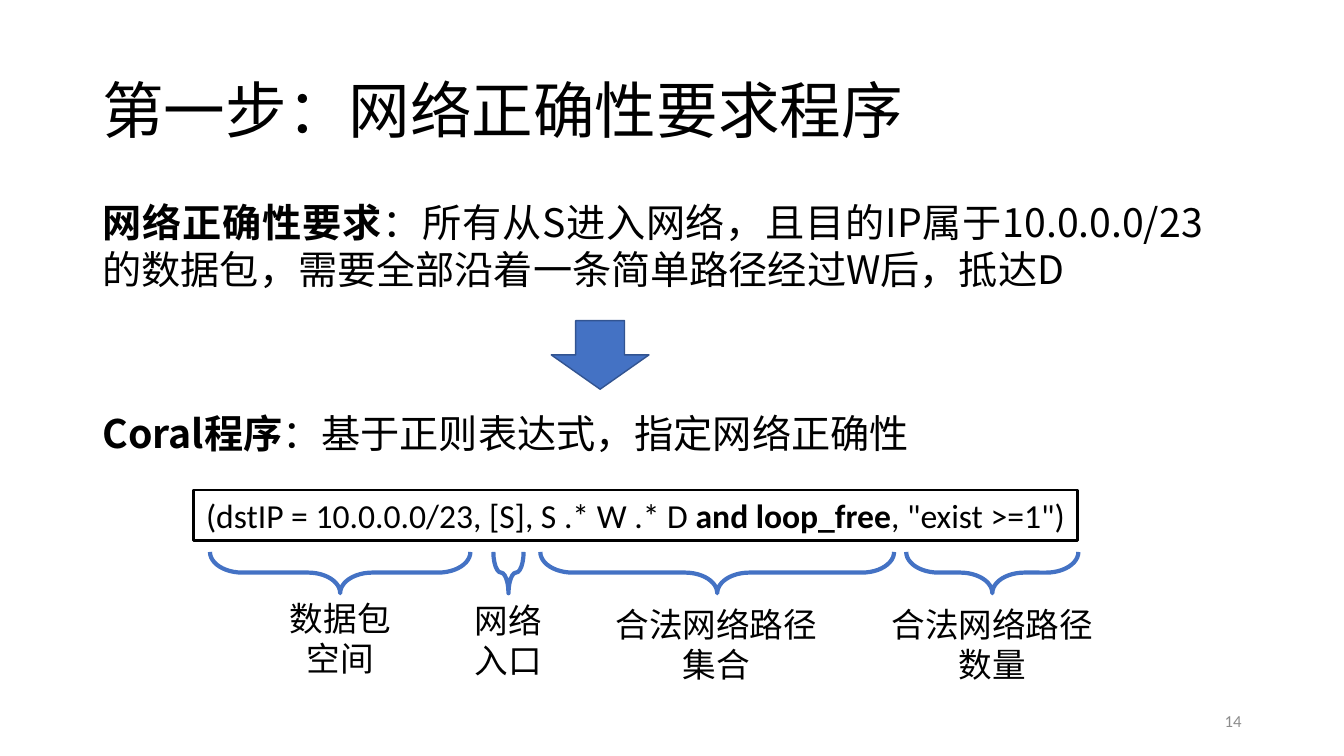
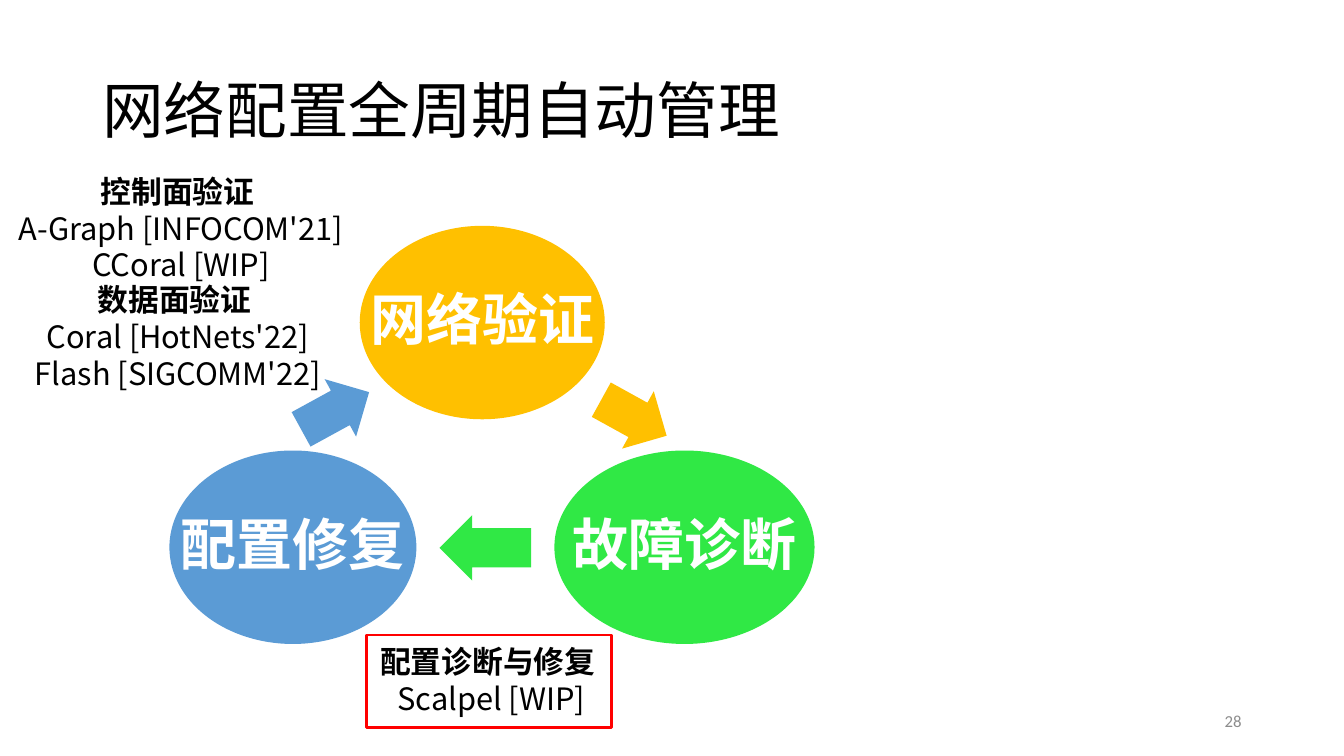
import pptx
import pptx.util
import pptx.dml.color
import pptx.enum.shapes
import pptx.enum.text
import pptx.oxml
import pptx.oxml.ns

Pt = pptx.util.Pt
SHAPE = pptx.enum.shapes.MSO_SHAPE
ALIGN = pptx.enum.text.PP_ALIGN
ANCHOR = pptx.enum.text.MSO_ANCHOR

COLORS = {
    "text": "000000",
    "white": "FFFFFF",
    "number": "8C8C8C",
    "blue": "4472C4",
    "blue_edge": "325491",
    "verify": "FFC000",
    "diagnose": "30E845",
    "repair": "5B9BD5",
    "highlight": "FF0000",
}
CJK = "Noto Sans CJK SC"
LATIN = "Calibri"

BRACE_MIDDLE = 409
BRACE_DEPTH = 29.5
OVAL_HEIGHT = 138.2
ARROW_HEIGHT = 46.8


def rgb(name):
    return pptx.dml.color.RGBColor.from_string(COLORS[name])


def write(shape, paragraphs, size, font=CJK, color="text", align=ALIGN.LEFT,
          anchor=ANCHOR.TOP, side=7.2, spacing=None, wrap=True):
    frame = shape.text_frame
    frame.word_wrap = wrap
    frame.vertical_anchor = anchor
    frame.margin_left = frame.margin_right = Pt(side)
    frame.margin_top = frame.margin_bottom = Pt(3.6)
    for index, spans in enumerate(paragraphs):
        para = frame.add_paragraph() if index else frame.paragraphs[0]
        para.alignment = align
        if spacing:
            para.line_spacing = spacing
        para.font.size = Pt(size)
        para.font.name = font
        para.font.color.rgb = rgb(color)
        defaults = para._p.pPr.find(pptx.oxml.ns.qn("a:defRPr"))
        east_asian = pptx.oxml.parse_xml(
            f'<a:ea {pptx.oxml.ns.nsdecls("a")} typeface="{font}"/>')
        defaults.find(pptx.oxml.ns.qn("a:latin")).addnext(east_asian)
        for text, bold in spans:
            span = para.add_run()
            span.text = text
            span.font.bold = bold


def add_text(page, place, paragraphs, size, **style):
    box = page.shapes.add_textbox(*map(Pt, place))
    write(box, paragraphs, size, **style)


def add_shape(page, kind, place, fill=None, line=None, width=1, rotation=0,
              adjustments=()):
    shape = page.shapes.add_shape(kind, *map(Pt, place))
    shape.shadow.inherit = False
    shape.rotation = rotation
    for index, value in enumerate(adjustments):
        shape.adjustments[index] = value
    if fill:
        shape.fill.solid()
        shape.fill.fore_color.rgb = rgb(fill)
    else:
        shape.fill.background()
    if line:
        shape.line.color.rgb = rgb(line)
        shape.line.width = Pt(width)
    else:
        shape.line.fill.background()
    return shape


def add_page(deck, title, number):
    page = deck.slides.add_slide(deck.slide_layouts[6])
    add_text(page, (66, 28.8, 828, 104.4), [[(title, False)]], 44,
             anchor=ANCHOR.MIDDLE, spacing=0.9)
    add_text(page, (678, 500.4, 216, 28.8), [[(number, False)]], 12,
             font=LATIN, color="number", align=ALIGN.RIGHT, anchor=ANCHOR.MIDDLE)
    return page


def add_brace(page, center, width):
    place = (center - BRACE_DEPTH / 2, BRACE_MIDDLE - width / 2, BRACE_DEPTH, width)
    add_shape(page, SHAPE.RIGHT_BRACE, place, line="blue", width=3, rotation=90,
              adjustments=(0.78, 0.5))


def add_stage(page, name, color, left, top, width):
    oval = add_shape(page, SHAPE.OVAL, (left, top, width, OVAL_HEIGHT), fill=color)
    write(oval, [[(name, True)]], 40, color="white", align=ALIGN.CENTER,
          anchor=ANCHOR.MIDDLE, side=0, spacing=0.9, wrap=False)


def add_stage_arrow(page, color, left, top, width, rotation):
    add_shape(page, SHAPE.RIGHT_ARROW, (left, top, width, ARROW_HEIGHT), fill=color,
              rotation=rotation, adjustments=(0.6, 0.5))


def add_works(page, left, top, height, heading, works):
    paragraphs = [[(heading, True)]] + [[(work, False)] for work in works]
    add_text(page, (left, top, 252.7, height), paragraphs, 22,
             align=ALIGN.CENTER, side=0)


def build_requirement_page(deck):
    page = add_page(deck, "第一步：网络正确性要求程序", "14")
    add_text(page, (66.2, 138.2, 800, 75), [[
        ("网络正确性要求", True),
        ("：所有从S进入网络，且目的IP属于10.0.0.0/23的数据包，"
         "需要全部沿着一条简单路径经过W后，抵达D", False),
    ]], 28, align=ALIGN.JUSTIFY)
    add_shape(page, SHAPE.DOWN_ARROW, (393.8, 229, 69.8, 49), fill="blue",
              line="blue_edge")
    add_text(page, (66.2, 288.7, 620, 41), [[
        ("Coral程序", True), ("：基于正则表达式，指定网络正确性", False),
    ]], 28)
    program = add_shape(page, SHAPE.RECTANGLE, (138.2, 350, 631.4, 36),
                        line="text", width=2)
    write(program, [[
        ("(dstIP = 10.0.0.0/23, [S], S .* W .* D ", False),
        ("and loop_free", True),
        (', "exist >=1")', False),
    ]], 24, font=LATIN, align=ALIGN.CENTER)

    for center, width in ((243, 186), (363.2, 21.6), (512.3, 252.7), (708.8, 123)):
        add_brace(page, center, width)
    labels = (
        (190, 423.4, 106, ("数据包", "空间")),
        (325.4, 424.8, 75.6, ("网络", "入口")),
        (430.6, 427.7, 162, ("合法网络路径集合",)),
        (627.8, 427.7, 162, ("合法网络路径数量",)),
    )
    for left, top, width, lines in labels:
        add_text(page, (left, top, width, 65.5), [[(line, False)] for line in lines],
                 24, align=ALIGN.CENTER)


def build_cycle_page(deck):
    page = add_page(deck, "网络配置全周期自动管理", "28")
    add_stage(page, "网络验证", "verify", 257, 161.3, 175)
    add_stage(page, "故障诊断", "diagnose", 396, 321.8, 185.8)
    add_stage(page, "配置修复", "repair", 121, 321.8, 176.4)
    add_stage_arrow(page, "verify", 426.2, 275, 53.3, 28.9)
    add_stage_arrow(page, "diagnose", 313.9, 367.9, 65.5, 180)
    add_stage_arrow(page, "repair", 211.7, 270, 55.4, 331.3)
    add_works(page, 0.7, 197.3, 87, "数据面验证 ",
              ("Coral [HotNets'22]", "Flash [SIGCOMM'22]"))
    add_works(page, 2.9, 119.5, 87, "控制面验证 ",
              ("A-Graph [INFOCOM'21]", "CCoral [WIP]"))
    add_works(page, 224.6, 455.8, 60.5, "配置诊断与修复 ", ("Scalpel [WIP]",))
    add_shape(page, SHAPE.RECTANGLE, (262, 453.6, 175, 66.2), line="highlight", width=2)


def main():
    deck = pptx.Presentation()
    deck.slide_width = Pt(960)
    deck.slide_height = Pt(540)
    build_requirement_page(deck)
    build_cycle_page(deck)
    deck.save("out.pptx")


if __name__ == "__main__":
    main()
